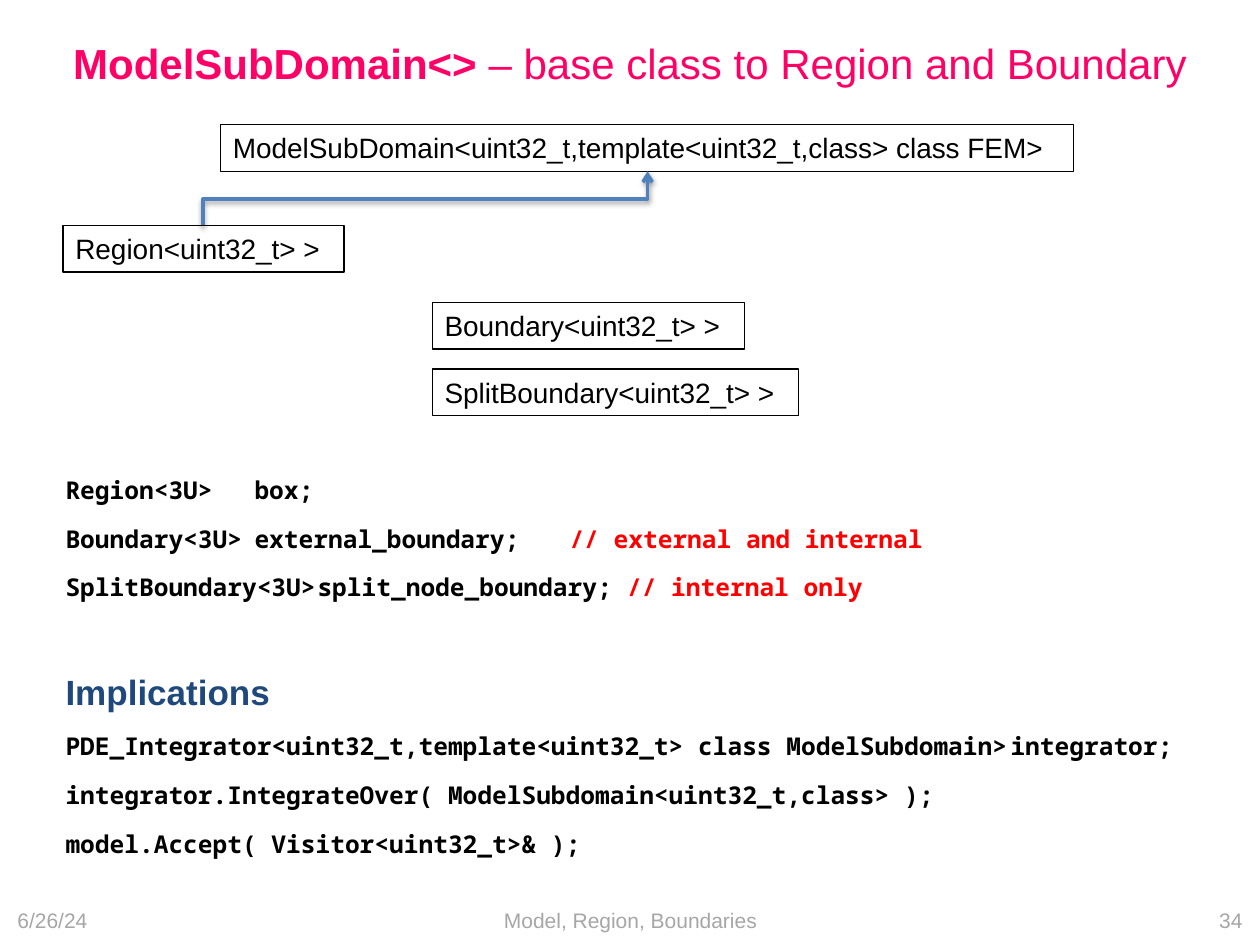
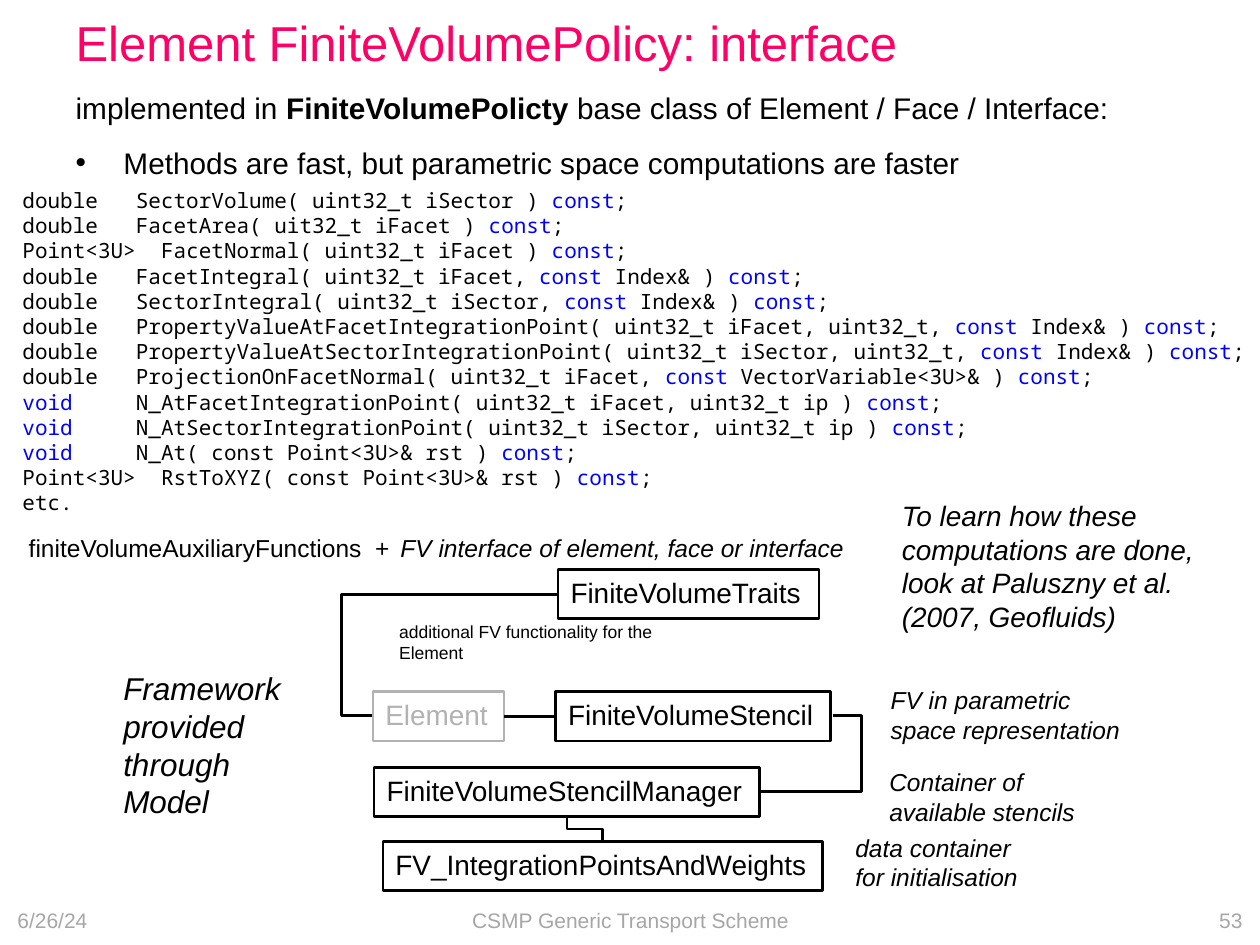
import pptx
import pptx.util
import pptx.dml.color
import pptx.enum.shapes
import pptx.enum.text
import pptx.oxml.ns
from lxml import etree

Inches = pptx.util.Inches
Pt = pptx.util.Pt
qn = pptx.oxml.ns.qn
Align = pptx.enum.text.PP_ALIGN
Anchor = pptx.enum.text.MSO_ANCHOR
AutoSize = pptx.enum.text.MSO_AUTO_SIZE
Connector = pptx.enum.shapes.MSO_CONNECTOR

COLORS = {
    "title": "FF0066", "text": "000000", "footer": "A6A6A6", "comment": "FF0000",
    "heading": "1F497D", "keyword": "0000FF", "muted": "B2B2B2", "arrow": "4F81BD",
}
SANS, MONO = "Arial", "Noto Sans Mono"
DATE = "6/26/24"

DOMAIN_TITLE = [("ModelSubDomain<>", True), (" – base class to Region and Boundary", False)]
DOMAIN_BOXES = {
    "base": ("ModelSubDomain<uint32_t,template<uint32_t,class> class FEM>", 1.75, 0.99, 6.77),
    "boundary": ("Boundary<uint32_t> >", 3.43, 2.4, 2.48),
    "region": ("Region<uint32_t> >", 0.5, 1.79, 2.23),
    "split": ("SplitBoundary<uint32_t> >", 3.43, 2.93, 2.91),
}
DECLARATIONS = [
    ("Region<3U>\tbox;", "", [1.4]),
    ("Boundary<3U>\texternal_boundary;\t", "// external and internal", [2.11, 4.81]),
    ("SplitBoundary<3U>\tsplit_node_boundary; ", "// internal only", [2.22]),
]
IMPLICATIONS = [
    ("PDE_Integrator<uint32_t,template<uint32_t> class ModelSubdomain>\tintegrator;", "", [7.71]),
    ("integrator.IntegrateOver( ModelSubdomain<uint32_t,class> );", "", []),
    ("model.Accept( Visitor<uint32_t>& );", "", []),
]

METHODS = [
    ("double", "SectorVolume( uint32_t iSector ) "),
    ("double", "FacetArea( uit32_t iFacet ) "),
    ("Point<3U>", "FacetNormal( uint32_t iFacet ) "),
    ("double", "FacetIntegral( uint32_t iFacet, |const |Index& ) "),
    ("double", "SectorIntegral( uint32_t iSector, |const |Index& ) "),
    ("double", "PropertyValueAtFacetIntegrationPoint( uint32_t iFacet, uint32_t, |const |Index& ) "),
    ("double", "PropertyValueAtSectorIntegrationPoint( uint32_t iSector, uint32_t, |const |Index& ) "),
    ("double", "ProjectionOnFacetNormal( uint32_t iFacet, |const |VectorVariable<3U>& ) "),
    ("void", "N_AtFacetIntegrationPoint( uint32_t iFacet, uint32_t ip ) "),
    ("void", "N_AtSectorIntegrationPoint( uint32_t iSector, uint32_t ip ) "),
    ("void", "N_At( const Point<3U>& rst ) "),
    ("Point<3U>", "RstToXYZ( const Point<3U>& rst ) "),
]
POLICY_BOXES = {
    "stencil": ("FiniteVolumeStencil", 4.41, 5.49, 2.18),
    "manager": ("FiniteVolumeStencilManager", 2.97, 6.09, 3.06),
    "weights": ("FV_IntegrationPointsAndWeights", 3.04, 6.68, 3.49),
    "traits": ("FiniteVolumeTraits", 4.43, 4.52, 2.07),
    "element": ("Element", 2.96, 5.49, 1.04),
}
POLICY_BENDS = [
    ((4.42, 4.72), (2.95, 5.68), 2.71, False),
    ((6.61, 5.68), (6.04, 6.28), 6.84, False),
    ((4.5, 6.49), (4.78, 6.67), 6.58, True),
]
POLICY_NOTES = [
    ("additional FV functionality for the Element", (3.07, 4.88, 2.4, 0.43), 10, False),
    ("To learn how these computations are done, look at Paluszny et al. (2007, Geofluids)",
     (7.06, 3.91, 2.73, 1.18), 16, True),
    ("Framework provided through Model", (0.88, 5.26, 1.61, 1.31), 18, True),
    ("data container for initialisation", (6.69, 6.56, 1.61, 0.57), 14, True),
    ("Container of available stencils", (6.96, 6.04, 2.04, 0.57), 14, True),
    ("FV in parametric space representation", (6.97, 5.39, 2.04, 0.57), 14, True),
    ("FV interface of element, face or interface", (3.08, 4.18, 3.94, 0.34), 14, True),
    ("finiteVolumeAuxiliaryFunctions\t+", (0.13, 4.18, 3.94, 0.34), 14, False),
]


def rgb(name):
    return pptx.dml.color.RGBColor.from_string(COLORS[name])


def add_run(paragraph, text, size, color="text", font=SANS, bold=False, italic=False):
    run = paragraph.add_run()
    run.text = text
    run.font.name, run.font.size = font, Pt(size)
    run.font.bold, run.font.italic = bold, italic
    run.font.color.rgb = rgb(color)


def next_paragraph(frame):
    first = frame.paragraphs[0]
    return frame.add_paragraph() if first.runs else first


def set_tabs(paragraph, positions):
    if positions:
        tabs = etree.SubElement(paragraph._p.get_or_add_pPr(), qn("a:tabLst"))
        for position in positions:
            etree.SubElement(tabs, qn("a:tab"), pos=str(Inches(position)), algn="l")


def body_paragraph(frame, tabs=(), before=3, bullet=None):
    is_first = not frame.paragraphs[0].runs
    paragraph = next_paragraph(frame)
    properties = paragraph._p.get_or_add_pPr()
    indent = Inches(0.38) if bullet else 0
    properties.set("marL", str(indent))
    properties.set("indent", str(-indent))
    if bullet:
        etree.SubElement(properties, qn("a:buChar"), char=bullet)
    else:
        etree.SubElement(properties, qn("a:buNone"))
    set_tabs(paragraph, tabs)
    paragraph.space_before = Pt(0 if is_first else before)
    paragraph.space_after = Pt(8)
    return paragraph


def place(shape, box, anchor):
    shape.left, shape.top, shape.width, shape.height = map(Inches, box)
    frame = shape.text_frame
    frame.auto_size, frame.word_wrap = AutoSize.NONE, True
    frame.vertical_anchor = anchor
    return frame


def add_text_box(slide, box, anchor=Anchor.TOP):
    return place(slide.shapes.add_textbox(0, 0, 0, 0), box, anchor)


def add_slide(presentation, title, title_box, title_size, title_align, body_box, footer, number):
    slide = presentation.slides.add_slide(presentation.slide_layouts[1])
    frame = place(slide.shapes.title, title_box, Anchor.MIDDLE)
    frame.paragraphs[0].alignment = title_align
    for text, bold in title:
        add_run(frame.paragraphs[0], text, title_size, "title", bold=bold)
    footers = [(DATE, 0.04, 2.33, Align.LEFT), (footer, 3.42, 3.17, Align.CENTER),
               (number, 7.63, 2.33, Align.RIGHT)]
    for text, left, width, align in footers:
        paragraph = add_text_box(slide, (left, 7.1, width, 0.4), Anchor.MIDDLE).paragraphs[0]
        paragraph.alignment = align
        add_run(paragraph, text, 12, "footer")
    return slide, place(slide.placeholders[1], body_box, Anchor.TOP)


def add_class_box(slide, content, height, line_width, color="text"):
    text, left, top, width = content
    shape = slide.shapes.add_shape(pptx.enum.shapes.MSO_SHAPE.RECTANGLE,
                                   *map(Inches, (left, top, width, height)))
    shape.shadow.inherit = False
    shape.fill.background()
    shape.line.color.rgb = rgb(color if color == "muted" else "text")
    shape.line.width = Pt(line_width)
    frame = shape.text_frame
    frame.word_wrap, frame.auto_size = False, AutoSize.SHAPE_TO_FIT_TEXT
    frame.vertical_anchor = Anchor.TOP
    frame.paragraphs[0].alignment = Align.LEFT
    add_run(frame.paragraphs[0], text, 16, color)
    return shape


def style_connector(connector, color, width):
    connector.line.color.rgb = rgb(color)
    connector.line.width = Pt(width)
    return etree.SubElement(connector._element.spPr, qn("a:effectLst"))


def add_bend(slide, start, end, middle, vertical, color="text", width=1.5):
    (x1, y1), (x2, y2) = start, end
    if vertical:
        center_x, center_y = (x1 + x2) / 2, (y1 + y2) / 2
        half_x, half_y = (x2 - x1) / 2, (y2 - y1) / 2
        ends = (center_x - half_y, center_y + half_x, center_x + half_y, center_y - half_x)
        ratio = (middle - y1) / (y2 - y1)
    else:
        ends = (x1, y1, x2, y2)
        ratio = (middle - x1) / (x2 - x1)
    connector = slide.shapes.add_connector(Connector.ELBOW, *map(Inches, ends))
    properties = connector._element.spPr
    if vertical:
        properties.find(qn("a:xfrm")).set("rot", str(90 * 60000))
    geometry = properties.find(qn("a:prstGeom"))
    adjustments = geometry.find(qn("a:avLst"))
    if adjustments is None:
        adjustments = etree.SubElement(geometry, qn("a:avLst"))
    etree.SubElement(adjustments, qn("a:gd"), name="adj1", fmla=f"val {round(ratio * 100000)}")
    return connector, style_connector(connector, color, width)


def add_code(frame, lines):
    for code, comment, tabs in lines:
        paragraph = body_paragraph(frame, tabs)
        add_run(paragraph, code, 14, font=MONO, bold=True)
        if comment:
            add_run(paragraph, comment, 14, "comment", MONO, True)


def build_domain_slide(presentation):
    slide, body = add_slide(presentation, DOMAIN_TITLE, (0, 0, 10, 1), 24, Align.CENTER,
                            (0.42, 3.72, 9.42, 3.57), "Model, Region, Boundaries", "34")
    add_code(body, DECLARATIONS)
    add_run(body_paragraph(body, before=31), "Implications", 20, "heading", bold=True)
    add_code(body, IMPLICATIONS)
    for content in DOMAIN_BOXES.values():
        add_class_box(slide, content, 0.37, 0.75)
    connector, effects = add_bend(slide, (1.61, 1.79), (5.14, 1.36), 1.58, True, "arrow", 2)
    etree.SubElement(connector.line._get_or_add_ln(), qn("a:tailEnd"), type="arrow")
    shadow = etree.SubElement(effects, qn("a:outerShdw"), blurRad=str(Pt(3.1)),
                              dist=str(Pt(1.6)), dir=str(90 * 60000), rotWithShape="0")
    shade = etree.SubElement(shadow, qn("a:srgbClr"), val=COLORS["text"])
    etree.SubElement(shade, qn("a:alpha"), val="38000")


def build_policy_slide(presentation):
    slide, body = add_slide(presentation, [("Element FiniteVolumePolicy: interface", False)],
                            (0.5, 0.09, 9, 0.48), 28, Align.LEFT, (0.5, 0.66, 9.2, 0.97),
                            "CSMP Generic Transport Scheme", "53")
    intro = body_paragraph(body)
    add_run(intro, "implemented in ", 17)
    add_run(intro, "FiniteVolumePolicty ", 17, bold=True)
    add_run(intro, "base class of Element / Face / Interface:", 17)
    add_run(body_paragraph(body, bullet="•"),
            "Methods are fast, but parametric space computations are faster", 17)

    boxes = {name: add_class_box(slide, content, 0.39, 1.5, "muted" if name == "element" else "text")
             for name, content in POLICY_BOXES.items()}
    link = slide.shapes.add_connector(Connector.STRAIGHT, 0, 0, 0, 0)
    link.begin_connect(boxes["element"], 3)
    link.end_connect(boxes["stencil"], 1)
    style_connector(link, "text", 1.5)
    for bend in POLICY_BENDS:
        add_bend(slide, *bend)

    listing = add_text_box(slide, (0.08, 1.44, 9.92, 2.93))
    for result, signature in METHODS:
        paragraph = next_paragraph(listing)
        set_tabs(paragraph, [1.1 if result == "Point<3U>" else 0.9])
        add_run(paragraph, result + "\t", 12, "keyword" if result == "void" else "text", MONO)
        for index, part in enumerate((signature + "|const|;").split("|")):
            add_run(paragraph, part, 12, "keyword" if index % 2 else "text", MONO)
    add_run(next_paragraph(listing), "etc.", 12, font=MONO)

    for text, box, size, italic in POLICY_NOTES:
        paragraph = add_text_box(slide, box).paragraphs[0]
        set_tabs(paragraph, [2.75] if "\t" in text else [])
        add_run(paragraph, text, size, italic=italic)


def main():
    presentation = pptx.Presentation()
    presentation.slide_width, presentation.slide_height = Inches(10), Inches(7.5)
    build_domain_slide(presentation)
    build_policy_slide(presentation)
    presentation.save("out.pptx")


if __name__ == "__main__":
    main()
